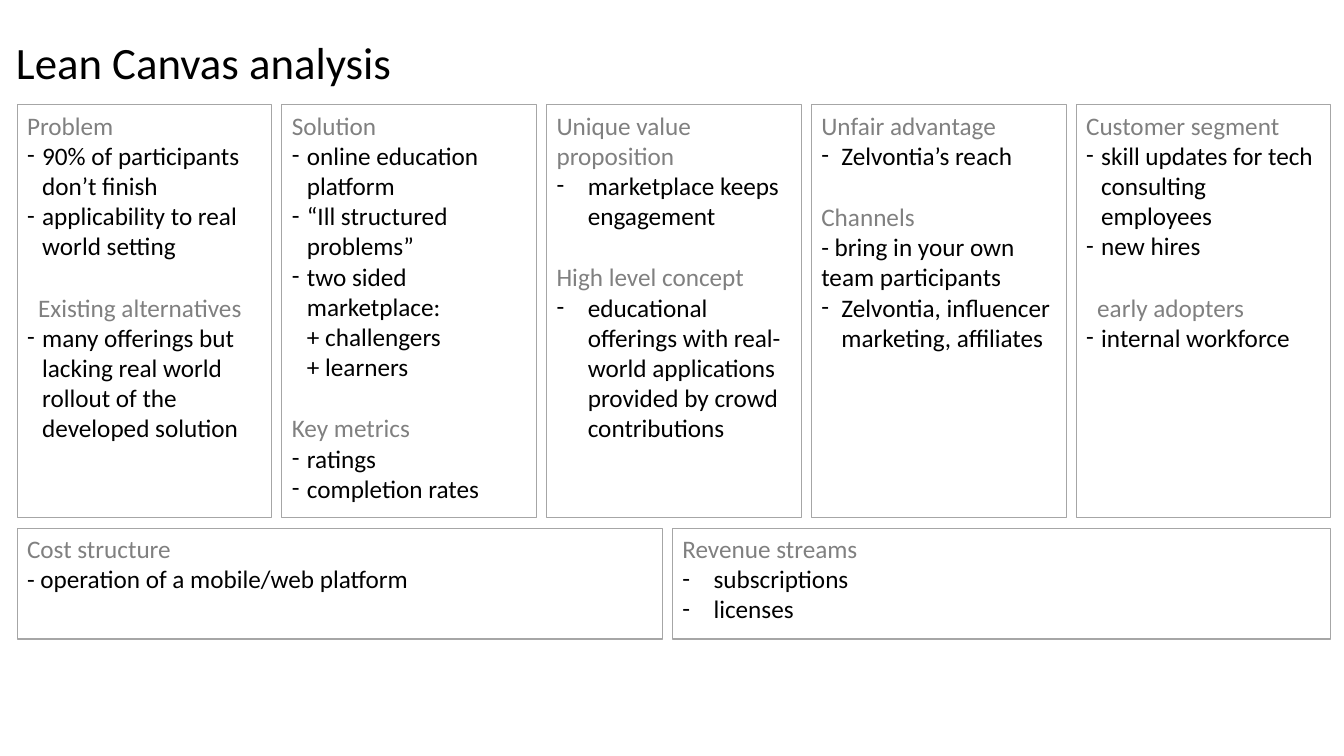
from dataclasses import dataclass

from lxml.etree import SubElement
from pptx import Presentation
from pptx.dml.color import RGBColor as Color
from pptx.enum.shapes import MSO_SHAPE as Shape
from pptx.enum.text import MSO_ANCHOR as Anchor, PP_ALIGN as Align
from pptx.oxml.ns import qn
from pptx.util import Inches, Pt


@dataclass(frozen=True)
class Theme:
    font: str = "Calibri"
    title_size: int = 32
    body_size: int = 18
    section_gap: int = 22
    text: Color = Color(0x00, 0x00, 0x00)
    heading: Color = Color(0x80, 0x80, 0x80)
    border: Color = Color(0xA6, 0xA6, 0xA6)
    border_width: float = 0.75


THEME = Theme()

# Grid: five equal columns, two rows (inches)
SLIDE_WIDTH, SLIDE_HEIGHT = 13.33, 7.5
LEFT, RIGHT = 0.17, 13.2
COLUMNS, GAP = 5, 0.1
PITCH = (RIGHT - LEFT + GAP) / COLUMNS
TOP_ROW, BOTTOM_ROW = (1.04, 4.09), (5.24, 1.1)
SPLIT = 0.99 * COLUMNS / 2  # where the two bottom boxes meet

# Each box: hanging indent of its bullets, then its sections.
# A section: heading, heading indent, lines ("*" marks a bullet).
UPPER_BOXES = [
    (0.15, [
        ("Problem", 0, ["*90% of participants don’t finish",
                        "*applicability to real world setting"]),
        ("Existing alternatives", 0.11, [
            "*many offerings but lacking real world rollout of the developed solution"]),
    ]),
    (0.15, [
        ("Solution", 0, ["*online education platform",
                         "*“Ill structured problems”",
                         "*two sided marketplace:\n+ challengers\n+ learners"]),
        ("Key metrics", 0, ["*ratings", "*completion rates"]),
    ]),
    (0.31, [
        ("Unique value proposition", 0, ["*marketplace keeps engagement"]),
        ("High level concept", 0, [
            "*educational offerings with real-world applications "
            "provided by crowd contributions"]),
    ]),
    (0.2, [
        ("Unfair advantage", 0, ["*Zelvontia’s reach"]),
        ("Channels", 0, ["- bring in your own team participants",
                         "*Zelvontia, influencer marketing, affiliates"]),
    ]),
    (0.15, [
        ("Customer segment", 0, ["*skill updates for tech consulting employees",
                                 "*new hires"]),
        ("early adopters", 0.11, ["*internal workforce"]),
    ]),
]
COST_BOX = (0, [("Cost structure", 0, ["- operation of a mobile/web platform"])])
REVENUE_BOX = (0.31, [("Revenue streams", 0, ["*subscriptions", "*licenses"])])


def add_runs(paragraph, text, size, color):
    """Write text run by run, with a line break at each newline."""
    paragraph.alignment = Align.LEFT
    for index, line in enumerate(text.split("\n")):
        if index:
            paragraph.add_line_break()
        run = paragraph.add_run()
        run.text = line
        run.font.name = THEME.font
        run.font.size = Pt(size)
        run.font.color.rgb = color


def set_indent(paragraph, margin, first_line=0):
    properties = paragraph._p.get_or_add_pPr()
    properties.set("marL", str(Inches(margin)))
    properties.set("indent", str(Inches(first_line)))
    return properties


def add_bullet(paragraph, hanging):
    properties = set_indent(paragraph, hanging, -hanging)
    SubElement(properties, qn("a:buFont"), typeface=THEME.font)
    SubElement(properties, qn("a:buChar"), char="-")


def add_section(next_paragraph, section, hanging, is_first):
    heading, indent, lines = section
    paragraph = next_paragraph()
    set_indent(paragraph, indent)
    if not is_first:
        paragraph.space_before = Pt(THEME.section_gap)
    add_runs(paragraph, heading, THEME.body_size, THEME.heading)
    for line in lines:
        paragraph = next_paragraph()
        if line.startswith("*"):
            add_bullet(paragraph, hanging)
        add_runs(paragraph, line.removeprefix("*"), THEME.body_size, THEME.text)


def add_canvas_box(slide, column, span, row, content):
    """Draw an outlined box covering span columns of the grid."""
    top, height = row
    shape = slide.shapes.add_shape(
        Shape.RECTANGLE, Inches(LEFT + column * PITCH), Inches(top),
        Inches(span * PITCH - GAP), Inches(height))
    shape.shadow.inherit = False
    shape.fill.background()
    shape.line.color.rgb = THEME.border
    shape.line.width = Pt(THEME.border_width)
    frame = shape.text_frame
    frame.word_wrap = True
    frame.vertical_anchor = Anchor.TOP

    unused = [frame.paragraphs[0]]

    def next_paragraph():
        return unused.pop() if unused else frame.add_paragraph()

    hanging, sections = content
    for index, section in enumerate(sections):
        add_section(next_paragraph, section, hanging, index == 0)


def add_title(slide, text):
    box = slide.shapes.add_textbox(Inches(0.06), Inches(0.29), Inches(13.11), Inches(0.65))
    frame = box.text_frame
    frame.word_wrap = True
    frame.vertical_anchor = Anchor.MIDDLE
    add_runs(frame.paragraphs[0], text, THEME.title_size, THEME.text)


def main():
    presentation = Presentation()
    presentation.slide_width = Inches(SLIDE_WIDTH)
    presentation.slide_height = Inches(SLIDE_HEIGHT)
    slide = presentation.slides.add_slide(presentation.slide_layouts[6])

    # Upper row: one box per column
    for column, content in enumerate(UPPER_BOXES):
        add_canvas_box(slide, column, 1, TOP_ROW, content)

    # Lower row: costs and revenue
    add_canvas_box(slide, 0, SPLIT, BOTTOM_ROW, COST_BOX)
    add_canvas_box(slide, SPLIT, COLUMNS - SPLIT, BOTTOM_ROW, REVENUE_BOX)

    add_title(slide, "Lean Canvas analysis")
    presentation.save("out.pptx")


if __name__ == "__main__":
    main()
